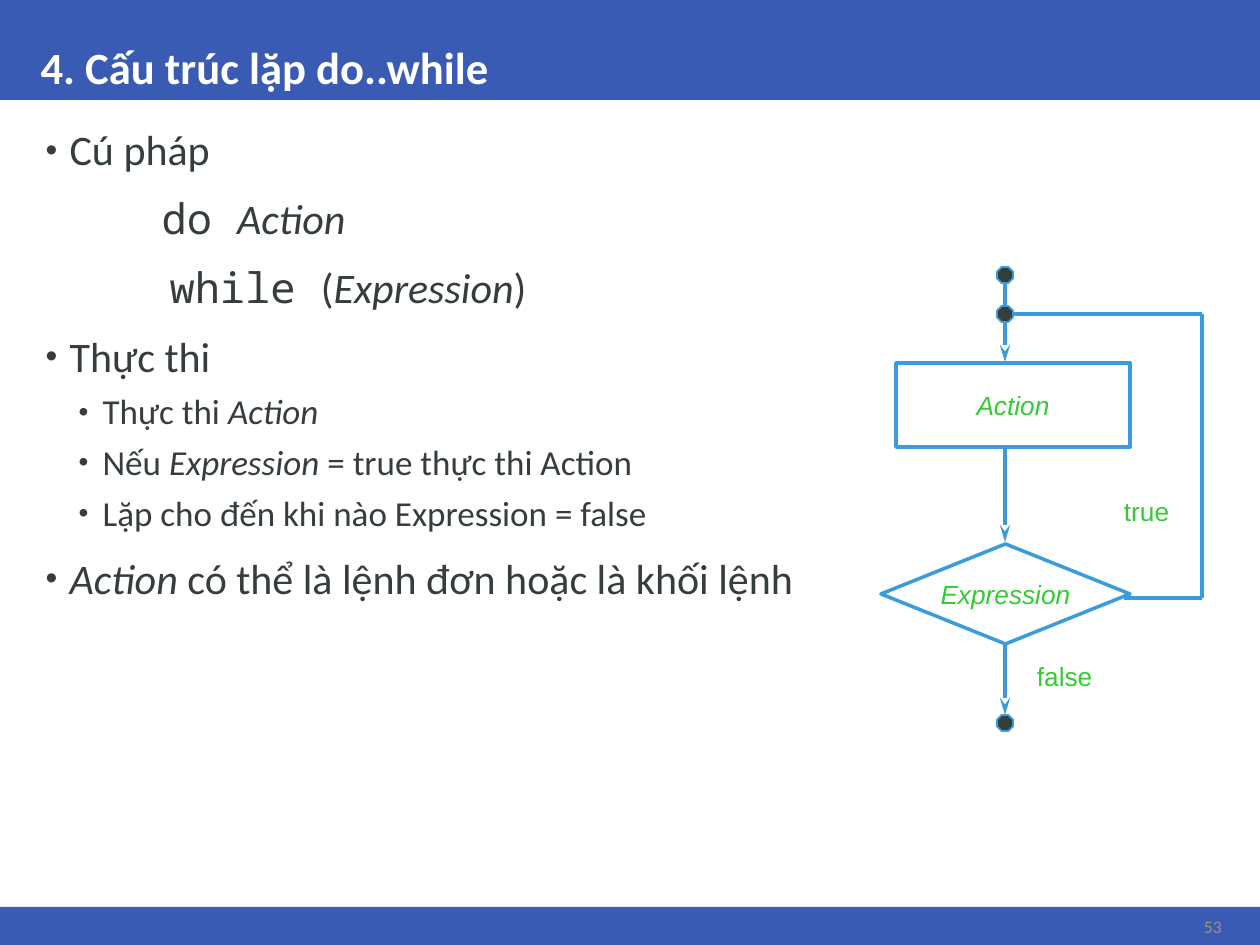
from dataclasses import dataclass

from lxml.etree import SubElement
from pptx import Presentation
from pptx.dml.color import RGBColor
from pptx.enum.shapes import MSO_CONNECTOR, MSO_SHAPE
from pptx.enum.text import MSO_ANCHOR, MSO_AUTO_SIZE, PP_ALIGN
from pptx.oxml.ns import qn
from pptx.util import Emu, Pt

SCALE = 914400 / 126


@dataclass(frozen=True)
class Theme:
    band: str = "3A5BB3"
    ink: str = "363D3D"
    line: str = "3A9CDB"
    label: str = "33CC33"
    light: str = "FFFFFF"
    gray: str = "919292"
    sans: str = "Calibri"
    mono: str = "Noto Sans Mono"
    chart: str = "Arial"
    title: float = 25.5
    body: float = 24
    sub: float = 20
    small: float = 15
    page: float = 10


def px(count):
    return Emu(round(count * SCALE))


def assign(item, **values):
    for name, value in values.items():
        setattr(item, name, value)


class Deck:
    """Draws each kind of element on the current slide in one style."""

    def __init__(self, theme):
        self.theme = theme
        self.show = Presentation()
        assign(self.show, slide_width=px(1260), slide_height=px(945))
        self.slide = self.show.slides.add_slide(self.show.slide_layouts[1])
        self.shapes = self.slide.shapes

    def place(self, shape, box):
        for name, value in zip(("left", "top", "width", "height"), box):
            setattr(shape, name, px(value))

    def words(self, para, text, size, color, **format):
        run = para.add_run()
        run.text = text
        run.font.color.rgb = RGBColor.from_string(color)
        assign(run.font, size=Pt(size), **format)

    def paint(self, shape, fill=None, line=None, width=2):
        shape.shadow.inherit = False
        if fill:
            shape.fill.solid()
            shape.fill.fore_color.rgb = RGBColor.from_string(fill)
        else:
            shape.fill.background()
        if line:
            shape.line.color.rgb = RGBColor.from_string(line)
            shape.line.width = Pt(width)
        else:
            shape.line.fill.background()

    def band(self, box):
        shape = self.shapes.add_shape(MSO_SHAPE.RECTANGLE, *map(px, box))
        self.paint(shape, self.theme.band)
        shape.element.getparent().insert(2, shape.element)

    def title(self, text, box):
        shape = self.shapes.title
        self.place(shape, box)
        frame = shape.text_frame
        assign(frame, vertical_anchor=MSO_ANCHOR.BOTTOM, auto_size=MSO_AUTO_SIZE.NONE)
        para = frame.paragraphs[0]
        assign(para, alignment=PP_ALIGN.LEFT, line_spacing=0.9)
        look = self.theme
        self.words(para, text, look.title, look.light, name=look.sans, bold=True)

    def body(self, items, box):
        shape = self.slide.placeholders[1]
        self.place(shape, box)
        frame = shape.text_frame
        frame.auto_size = MSO_AUTO_SIZE.NONE
        for spot, (level, indent, runs) in enumerate(items):
            para = frame.add_paragraph() if spot else frame.paragraphs[0]
            space = Pt(7.5 if level else 13.5)
            assign(para, level=level, line_spacing=0.9, space_before=space)
            self.bullet(para, level, indent)
            size = self.theme.sub if level else self.theme.body
            for text, style in runs:
                font = self.theme.mono if style == "code" else self.theme.sans
                self.words(para, text, size, self.theme.ink, name=font,
                           italic=style == "slant")

    def bullet(self, para, level, indent):
        props = para._p.get_or_add_pPr()
        if indent:
            props.set("marL", str(px(indent)))
            props.set("indent", "0")
            SubElement(props, qn("a:buNone"))
            return
        props.set("marL", str(px(62 if level else 29)))
        props.set("indent", str(px(-24)))
        SubElement(props, qn("a:buSzPct"), val="80000")
        SubElement(props, qn("a:buFont"), typeface="Arial")
        SubElement(props, qn("a:buChar"), char="•")

    def page(self, text, box):
        frame = self.shapes.add_textbox(*map(px, box)).text_frame
        assign(frame, word_wrap=True, vertical_anchor=MSO_ANCHOR.MIDDLE)
        para = frame.paragraphs[0]
        para.alignment = PP_ALIGN.RIGHT
        self.words(para, text, self.theme.page, self.theme.gray, name=self.theme.sans)

    def caption(self, shape, text, **format):
        frame = shape.text_frame
        assign(frame, word_wrap=False, margin_left=px(10), margin_right=px(10),
               margin_top=px(5), margin_bottom=px(5))
        look = self.theme
        self.words(frame.paragraphs[0], text, look.small, look.label,
                   name=look.chart, **format)
        return frame

    def label(self, text, box):
        shape = self.shapes.add_textbox(*map(px, box))
        self.caption(shape, text).auto_size = MSO_AUTO_SIZE.SHAPE_TO_FIT_TEXT

    def node(self, kind, text, box):
        shape = self.shapes.add_shape(kind, *map(px, box))
        self.paint(shape, line=self.theme.line)
        frame = self.caption(shape, text, italic=True)
        frame.vertical_anchor = MSO_ANCHOR.MIDDLE
        frame.paragraphs[0].alignment = PP_ALIGN.CENTER

    def dot(self, x, y):
        box = (x - 8, y - 8, 16, 16)
        shape = self.shapes.add_shape(MSO_SHAPE.OCTAGON, *map(px, box))
        self.paint(shape, self.theme.ink, self.theme.line, 1)

    def line(self, start, end, arrow=False):
        link = self.shapes.add_connector(MSO_CONNECTOR.STRAIGHT, *map(px, start + end))
        link.line.color.rgb = RGBColor.from_string(self.theme.line)
        link.line.width = Pt(2)
        if arrow:
            SubElement(link.line._get_or_add_ln(), qn("a:tailEnd"),
                       type="stealth", w="med", len="lg")
        SubElement(link.element.spPr, qn("a:effectLst"))


def main():
    deck = Deck(Theme())
    deck.band((0, 0, 1260, 100))
    deck.band((0, 907, 1260, 38))
    deck.title("4. Cấu trúc lặp do..while", (28, 0, 1206, 100))
    deck.body([
        (0, 0, [("Cú pháp", "")]),
        (0, 121, [("do ", "code"), ("Action", "slant")]),
        (0, 129, [("while ", "code"), ("(", ""), ("Expression", "slant"), (")", "")]),
        (0, 0, [("Thực thi", "")]),
        (1, 0, [("Thực thi ", ""), ("Action", "slant")]),
        (1, 0, [("Nếu ", ""), ("Expression", "slant"), (" = true thực thi Action", "")]),
        (1, 0, [("Lặp cho đến khi nào Expression = false", "")]),
        (0, 0, [("Action ", "slant"), ("có thể là lệnh đơn hoặc là khối lệnh", "")]),
    ], (28, 123, 1206, 762))
    deck.page("53", (1167, 910, 67, 33))

    axis, side, join, turn = 1005, 1202, 314, 598
    for top, bottom in ((282, 362), (447, 542), (645, 715)):
        deck.line((axis, top), (axis, bottom), arrow=True)
    corners = [(axis, join), (side, join), (side, turn), (1124, turn)]
    for start, end in zip(corners, corners[1:]):
        deck.line(start, end)
    deck.node(MSO_SHAPE.RECTANGLE, "Action", (896, 363, 234, 84))
    deck.node(MSO_SHAPE.DIAMOND, "Expression", (881, 544, 249, 100))
    deck.label("true", (1114, 490, 66, 42))
    deck.label("false", (1027, 655, 76, 42))
    for y in (275, join, 723):
        deck.dot(axis, y)
    deck.show.save("out.pptx")


if __name__ == "__main__":
    main()
